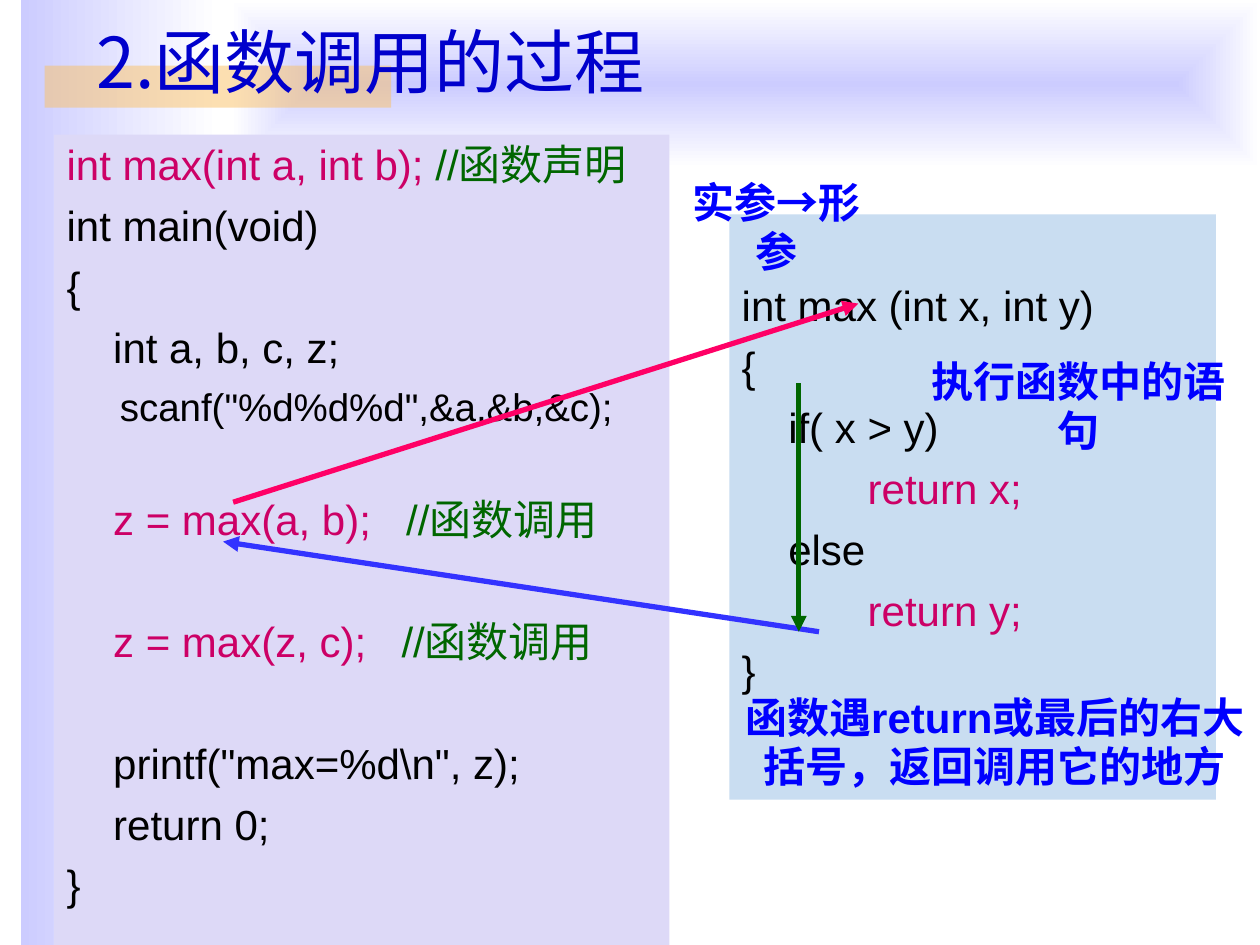
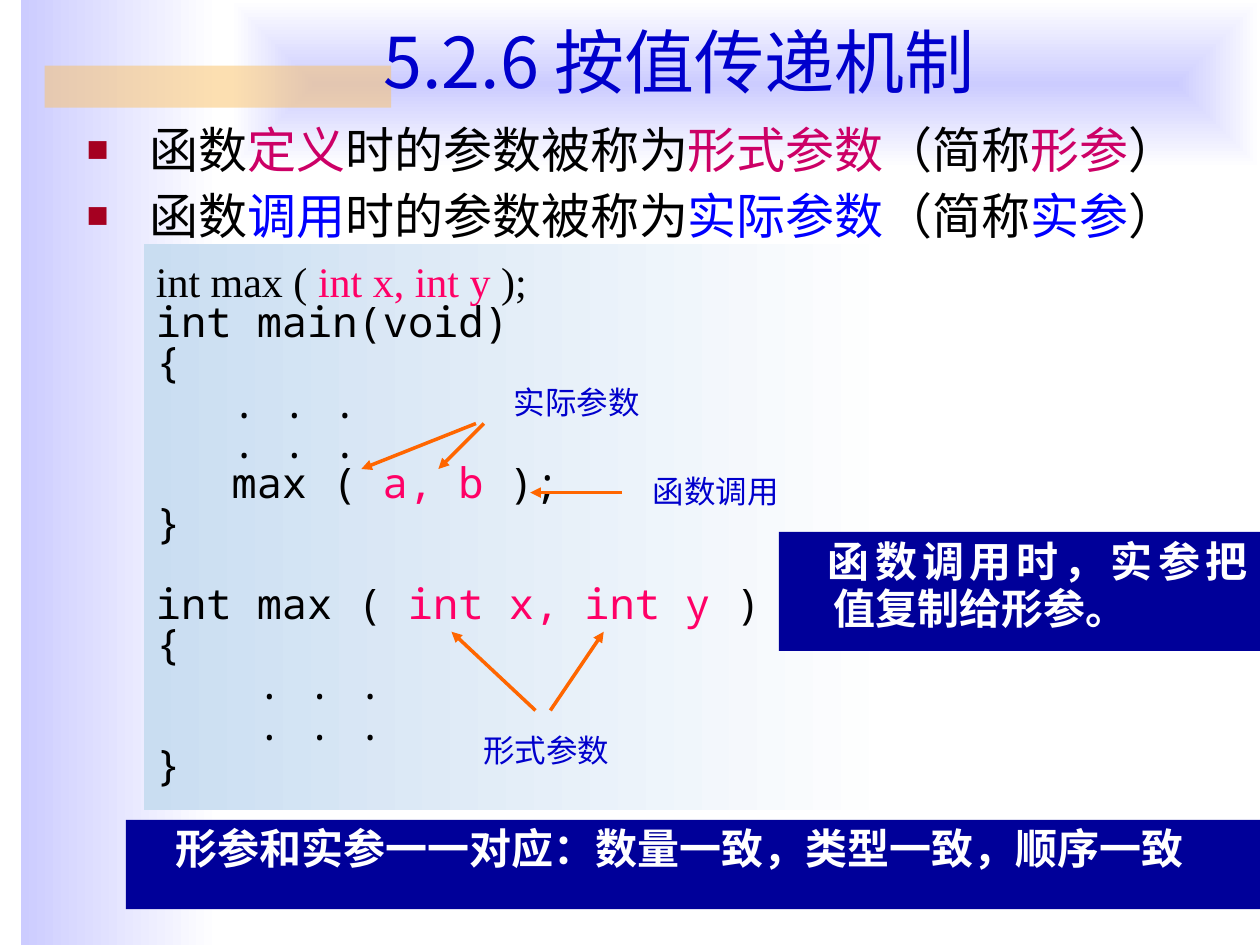
"""Build two slides on how C functions are called and how arguments are passed by value."""
from dataclasses import dataclass

from lxml.etree import SubElement
from pptx import Presentation
from pptx.dml.color import RGBColor
from pptx.enum.shapes import MSO_CONNECTOR, MSO_SHAPE
from pptx.enum.text import MSO_ANCHOR, PP_ALIGN
from pptx.oxml.ns import qn
from pptx.util import Pt


@dataclass(frozen=True)
class Theme:
    """Colours, fonts and type sizes."""
    lavender: str = "CCCCFF"
    white: str = "FFFFFF"
    amber: str = "FAC164"
    lilac: str = "DDD9F7"
    sky: str = "C9DDF1"
    navy: str = "000099"
    title: str = "0000CC"
    blue: str = "0000FF"
    back: str = "3333FF"
    crimson: str = "CC0066"
    pink: str = "FF0066"
    green: str = "006600"
    orange: str = "FF6600"
    bullet: str = "A50021"
    black: str = "000000"
    sans: str = "Arial"
    serif: str = "Times New Roman"
    mono: str = "Noto Sans Mono"
    cjk: str = "Noto Sans CJK SC"
    title_size: float = 40
    body_size: float = 28
    code_size: float = 24
    small_code_size: float = 22
    label_size: float = 18


theme = Theme()


def place(slide, left, top, width, height, fill=None, inset_top=3.6):
    """Add a text box, or a rectangle filled with one colour or a pair of gradient colours."""
    box = [Pt(length) for length in (left, top, width, height)]
    if fill is None:
        shape = slide.shapes.add_textbox(*box)
    else:
        shape = slide.shapes.add_shape(MSO_SHAPE.RECTANGLE, *box)
        shape.shadow.inherit = False
        shape.line.fill.background()
        if isinstance(fill, tuple):
            shape.fill.gradient()
            shape.fill.gradient_angle = 0
            for stop, colour, position in zip(shape.fill.gradient_stops, fill, (0, 1)):
                stop.color.rgb = RGBColor.from_string(colour)
                stop.position = position
        else:
            shape.fill.solid()
            shape.fill.fore_color.rgb = RGBColor.from_string(fill)
    frame = shape.text_frame
    frame.word_wrap = True
    frame.vertical_anchor = MSO_ANCHOR.TOP
    frame.margin_left = frame.margin_right = Pt(7.2)
    frame.margin_top, frame.margin_bottom = Pt(inset_top), Pt(3.6)
    return shape


def write(shape, text, font=theme.sans, size=theme.code_size, colour=theme.black, bold=False,
          align=PP_ALIGN.LEFT, spacing=None, before=0, margin=0, indent=0, bullet=None):
    """Write one paragraph, given as a string or as (text, colour) runs."""
    frame = shape.text_frame
    paragraph = frame.paragraphs[0]
    if paragraph.runs:
        paragraph = frame.add_paragraph()
        paragraph.space_before = Pt(before)
    paragraph.alignment = align
    if spacing:
        paragraph.line_spacing = Pt(spacing)
    properties = paragraph._p.get_or_add_pPr()
    properties.set("marL", str(Pt(margin)))
    properties.set("indent", str(Pt(indent)))
    if bullet:
        SubElement(SubElement(properties, qn("a:buClr")), qn("a:srgbClr"), val=theme.bullet)
        SubElement(properties, qn("a:buSzPct"), val="75000")
        SubElement(properties, qn("a:buFont"), typeface=theme.sans)
        SubElement(properties, qn("a:buChar"), char=bullet)
    for words, run_colour in [(text, colour)] if isinstance(text, str) else text:
        run = paragraph.add_run()
        run.text = words
        run.font.name, run.font.size, run.font.bold = font, Pt(size), bold
        run.font.color.rgb = RGBColor.from_string(run_colour)
        SubElement(run._r.get_or_add_rPr(), qn("a:ea"), typeface=theme.cjk)


deck = Presentation()
deck.slide_width, deck.slide_height = Pt(720), Pt(540)
layout = deck.slide_layouts[5]
process = deck.slides.add_slide(layout)
passing = deck.slides.add_slide(layout)

side_band = place(process, 12, 0, 114, 540, (theme.lavender, theme.white))
top_band = place(process, 132, 0, 588, 96, (theme.lavender, theme.white))
gradient = top_band._element.spPr.find(qn("a:gradFill"))
gradient.remove(gradient.find(qn("a:lin")))
centre = SubElement(gradient, qn("a:path"), path="rect")
SubElement(centre, qn("a:fillToRect"), l="50000", t="50000", r="50000", b="50000")
title_accent = place(process, 25.5, 37.5, 198, 24, theme.amber)
SubElement(next(title_accent._element.spPr.iter(qn("a:srgbClr"))), qn("a:alpha"), val="50000")
for position, decoration in enumerate((side_band, top_band, title_accent), start=2):
    layout.shapes._spTree.insert(position, decoration._element)

for slide, heading, left, width, align in (
        (process, "2.函数调用的过程", 48, 646, PP_ALIGN.LEFT),
        (passing, "5.2.6 按值传递机制", 82, 612, PP_ALIGN.CENTER)):
    title = slide.shapes.title
    title.left, title.top, title.width, title.height = Pt(left), Pt(-2), Pt(width), Pt(73.5)
    title.text_frame.vertical_anchor = MSO_ANCHOR.MIDDLE
    write(title, heading, font=theme.cjk, size=theme.title_size, colour=theme.title, align=align)

caller = place(process, 31, 77, 351.5, 463, theme.lilac)
for line, style in (
        ([("int max(int a, int b); ", theme.crimson), ("//函数声明", theme.green)], {}),
        ("int main(void)", {}),
        ("{", {}),
        ("    int a, b, c, z;", {}),
        ('     scanf("%d%d%d",&a,&b,&c);', {"size": theme.small_code_size, "before": 5}),
        ([("    z = max(a, b);   ", theme.crimson), ("//函数调用", theme.green)], {"before": 38}),
        ([("    z = max(z, c);   ", theme.crimson), ("//函数调用", theme.green)], {"before": 42}),
        ('    printf("max=%d\\n", z);', {"before": 42}),
        ("    return 0;", {}),
        ("}", {})):
    write(caller, line, **{"spacing": 27.6, "before": 7.2, **style})

callee = place(process, 416.75, 122.5, 278, 334.5, theme.sky, inset_top=38.4)
for line, style in (
        ("int max (int x, int y)", {}),
        ("{", {}),
        ("    if( x > y)", {}),
        ("return x;", {"margin": 72, "colour": theme.crimson}),
        ("    else", {}),
        ("return y;", {"margin": 72, "colour": theme.crimson}),
        ("}", {})):
    write(callee, line, spacing=27.6, before=7.2, **style)

for words, left, top, width, height, wrap in (
        ("实参→形参", 376.5, 94.5, 134, 36, False),
        ("执行函数中的语句", 513.5, 196.5, 206, 36, False),
        ("函数遇return或最后的右大括号，返回调用它的地方", 417, 389, 303, 65, True)):
    step_note = place(process, left, top, width, height, inset_top=7.2)
    step_note.text_frame.word_wrap = wrap
    write(step_note, words, colour=theme.blue, bold=True, align=PP_ALIGN.CENTER, spacing=28)

definitions = place(passing, 42.5, 69.5, 648, 75)
for moment, full_name, short_name, accent in (
        ("定义", "形式参数", "形参", theme.crimson),
        ("调用", "实际参数", "实参", theme.blue)):
    write(definitions,
          [("函数", theme.black), (moment, accent), ("时的参数被称为", theme.black),
           (full_name, accent), ("（简称", theme.black), (short_name, accent), ("）", theme.black)],
          font=theme.serif, size=theme.body_size, align=PP_ALIGN.JUSTIFY, spacing=29, before=8.7,
          margin=36, indent=-36, bullet="■")

program = place(passing, 82, 139.5, 430.5, 323.5, (theme.sky, theme.white))
program.text_frame.vertical_anchor = MSO_ANCHOR.MIDDLE
parameters = ("int x, int y", theme.pink)
for line, style in (
        ([("int max ( ", theme.black), parameters, (" );", theme.black)], {"font": theme.serif}),
        ("int main(void)", {}),
        ("{", {}),
        ("   . . .", {}),
        ("   . . .", {}),
        ([("   max ( ", theme.black), ("a, b", theme.pink), (" );", theme.black)], {}),
        ("}", {}),
        ([("int max ( ", theme.black), parameters, (" )", theme.black)], {"before": 23}),
        ("{", {}),
        ("    . . .", {}),
        ("    . . .", {}),
        ("}", {})):
    write(program, line, **{"font": theme.mono, "spacing": 23, **style})

for words, left, top in (("形式参数", 269, 412), ("函数调用", 366, 264), ("实际参数", 286.5, 213)):
    code_label = place(passing, left, top, 86.5, 29)
    code_label.text_frame.word_wrap = False
    write(code_label, words, font=theme.mono, size=theme.label_size, colour=theme.title, spacing=24)

for words, left, top, width, height, margin, indent in (
        ("形参和实参一一对应：数量一致，类型一致，顺序一致", 72, 468.5, 648, 51, 52, -31),
        ("函数调用时，实参把值复制给形参。", 445, 304, 275, 68, 24, -3)):
    rule = place(passing, left, top, width, height, theme.navy)
    write(rule, words, font=theme.serif, colour=theme.white, bold=True, align=PP_ALIGN.JUSTIFY,
          spacing=27, margin=margin, indent=indent)

for slide, start, end, colour, weight in (
        (process, (133.25, 287), (490.5, 173.5), theme.pink, 3),
        (process, (468, 361), (127.5, 309.5), theme.back, 3),
        (process, (456.5, 219), (456.5, 361), theme.green, 3),
        (passing, (306, 406), (258, 361), theme.orange, 2),
        (passing, (314.5, 406), (345, 361), theme.orange, 2),
        (passing, (355.5, 281.5), (303, 281.5), theme.orange, 2),
        (passing, (272, 242), (206.5, 268), theme.orange, 2),
        (passing, (276.5, 242), (250.5, 268), theme.orange, 2)):
    arrow = slide.shapes.add_connector(MSO_CONNECTOR.STRAIGHT, *[Pt(n) for n in start + end])
    arrow.line.color.rgb = RGBColor.from_string(colour)
    arrow.line.width = Pt(weight)
    SubElement(arrow.line._get_or_add_ln(), qn("a:tailEnd"), type="triangle")
    SubElement(arrow._element.spPr, qn("a:effectLst"))

deck.save("out.pptx")
